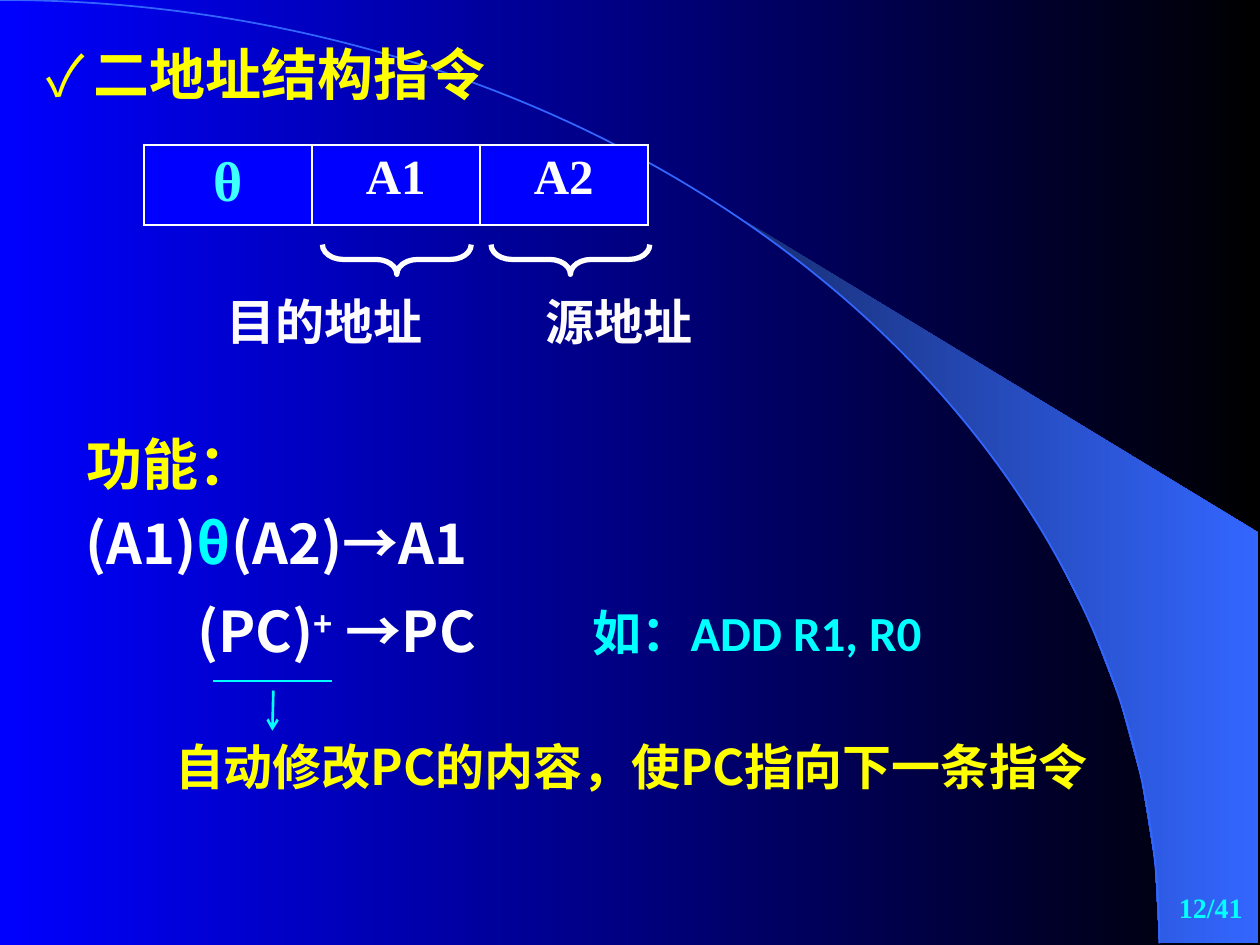
"""Build the slide on two-address instructions."""
from dataclasses import dataclass
from math import cos, radians, sin

from lxml.etree import SubElement as Sub
from pptx import Presentation
from pptx.dml.color import RGBColor as RGB
from pptx.enum.shapes import MSO_CONNECTOR as LINK, MSO_SHAPE as SHAPE
from pptx.enum.text import MSO_ANCHOR as ANCHOR, MSO_AUTO_SIZE as AUTO, PP_ALIGN as ALIGN
from pptx.oxml.ns import qn
from pptx.util import Cm, Pt


@dataclass
class Theme:
    blue: str = "0000FF"
    black: str = "000000"
    navy: str = "182F76"
    sky: str = "3366FF"
    white: str = "FFFFFF"
    pale: str = "FDFBFB"
    gold: str = "FFFF00"
    cyan: str = "00FFFF"
    aqua: str = "40FFFF"
    sans: str = "Noto Sans CJK SC"
    serif: str = "Times New Roman"
    plain: str = "Calibri"
    big: int = 32
    mid: int = 28
    small: int = 16


theme = Theme()


def style(run, size, color, face):
    font = run.font
    font.size, font.bold = Pt(size), True
    font.color.rgb = RGB.from_string(color)
    font.name = face
    Sub(run._r.get_or_add_rPr(), qn("a:ea"), typeface=theme.sans)


def write(box, parts, size, face=theme.sans, align=ALIGN.LEFT, space=None):
    shape = slide.shapes.add_textbox(*map(Cm, box))
    frame = shape.text_frame
    frame.word_wrap = True
    frame.auto_size = AUTO.SHAPE_TO_FIT_TEXT
    para = frame.paragraphs[0]
    para.alignment, para.line_spacing = align, space
    for text, color in parts:
        run = para.add_run()
        run.text = text
        style(run, size, color, face)
    return frame


deck = Presentation()
deck.slide_width, deck.slide_height = Cm(25.4), Cm(19.05)
slide = deck.slides.add_slide(deck.slide_layouts[6])
shapes = slide.shapes

wide, high = 23.37, 19.02
edge = [(wide * sin(radians(a)), high * (1 - cos(radians(a)))) for a in range(40, 91, 5)]
edge += [(25.37, high), (25.37, 10.74)]
forms = []
for points, close in ((edge, True), ([(0, 0), (wide, high)], False)):
    spots = [(Cm(x), Cm(y)) for x, y in points]
    pen = shapes.build_freeform(*spots[0])
    pen.add_line_segments(spots[1:], close=close)
    form = pen.convert_to_shape()
    form.shadow.inherit = False
    forms.append(form)
wedge, curve = forms
wedge.line.fill.background()
curve.fill.background()
curve.line.color.rgb = RGB.from_string(theme.sky)
curve.line.width = Pt(1)
bend = next(curve._element.iter(qn("a:lnTo")))
bend.tag = qn("a:cubicBezTo")
bend.clear()
for x, y in ((0.55 * wide, 0), (wide, 0.45 * high), (wide, high)):
    Sub(bend, qn("a:pt"), x=str(Cm(x)), y=str(Cm(y)))

for fill, shades in ((slide.background.fill, (theme.blue, theme.black)),
                     (wedge.fill, (theme.navy, theme.sky))):
    fill.gradient()
    fill.gradient_angle = 0
    for stop, shade in zip(fill.gradient_stops, shades):
        stop.color.rgb = RGB.from_string(shade)

title = write((0.69, 0.93, 12.07, 1.35), [("二地址结构指令", theme.gold)], theme.big, space=0.8)
props = title.paragraphs[0]._p.get_or_add_pPr()
props.set("marL", str(Cm(0.95)))
props.set("indent", str(-Cm(0.95)))
Sub(Sub(props, qn("a:buClr")), qn("a:srgbClr"), val=theme.gold)
Sub(props, qn("a:buFont"), typeface=theme.sans)
Sub(props, qn("a:buChar"), char="✓")

write((3.89, 5.64, 5.31, 1.57), [("目的地址", theme.pale)], theme.mid, align=ALIGN.CENTER, space=1.1)
write((10.09, 5.63, 4.78, 1.57), [("源地址", theme.pale)], theme.mid, align=ALIGN.CENTER, space=1.1)

for left, top, long in ((7.7, 3.73, 3), (11.2, 3.63, 3.2)):
    brace = shapes.add_shape(SHAPE.LEFT_BRACE, Cm(left), Cm(top), Cm(0.6), Cm(long))
    brace.rotation = 270
    brace.adjustments[0] = 0.7
    brace.shadow.inherit = False
    brace.fill.background()
    brace.line.color.rgb = RGB.from_string(theme.white)
    brace.line.width = Pt(3)

grid = shapes.add_table(1, 3, Cm(2.9), Cm(2.92), Cm(10.16), Cm(1.62)).table
fields = (("θ", theme.big, theme.aqua), ("A1", theme.mid, theme.white), ("A2", theme.mid, theme.white))
for cell, (text, size, color) in zip(grid.iter_cells(), fields):
    cell.text_frame.text = text
    para = cell.text_frame.paragraphs[0]
    para.alignment = ALIGN.CENTER
    style(para.runs[0], size, color, theme.serif)
    props = cell._tc.get_or_add_tcPr()
    for side in ("lnL", "lnR", "lnT", "lnB"):
        line = Sub(props, qn(f"a:{side}"), w=str(Pt(1.5)))
        Sub(Sub(line, qn("a:solidFill")), qn("a:srgbClr"), val=theme.white)
    cell.fill.solid()
    cell.fill.fore_color.rgb = RGB.from_string(theme.blue)

write((1.5, 8.53, 4.24, 1.63), [("功能：", theme.gold)], theme.big, theme.serif)
write((1.47, 10.13, 9.8, 1.63),
      [("(A1)", theme.white), ("θ", theme.cyan), ("(A2)→A1", theme.white)], theme.big)
count = write((3.73, 11.91, 7.67, 1.63),
              [(text, theme.white) for text in ("(PC)", "+", " →PC")], theme.big)
count.paragraphs[0].runs[1]._r.get_or_add_rPr().set("baseline", "30000")

for ends in ((4.29, 13.73, 6.7, 13.73), (5.51, 13.92, 5.49, 14.73)):
    link = shapes.add_connector(LINK.STRAIGHT, *map(Cm, ends))
    link.line.color.rgb = RGB.from_string(theme.cyan)
    link.line.width = Pt(1.5)
    Sub(link._element.spPr, qn("a:effectLst"))
Sub(link.line._get_or_add_ln(), qn("a:tailEnd"), type="arrow")

write((3.28, 14.73, 19.74, 1.45), [("自动修改PC的内容，使PC指向下一条指令", theme.gold)], theme.mid)
write((11.7, 12.26, 10.8, 1.22), [("如：ADD R1, R0", theme.cyan)], theme.mid, theme.plain, space=0.8)
page = write((20.02, 17.65, 5.28, 1.27), [("12/41", theme.cyan)], theme.small, theme.serif, ALIGN.RIGHT)
page.auto_size = AUTO.NONE
page.vertical_anchor = ANCHOR.MIDDLE

deck.save("out.pptx")
